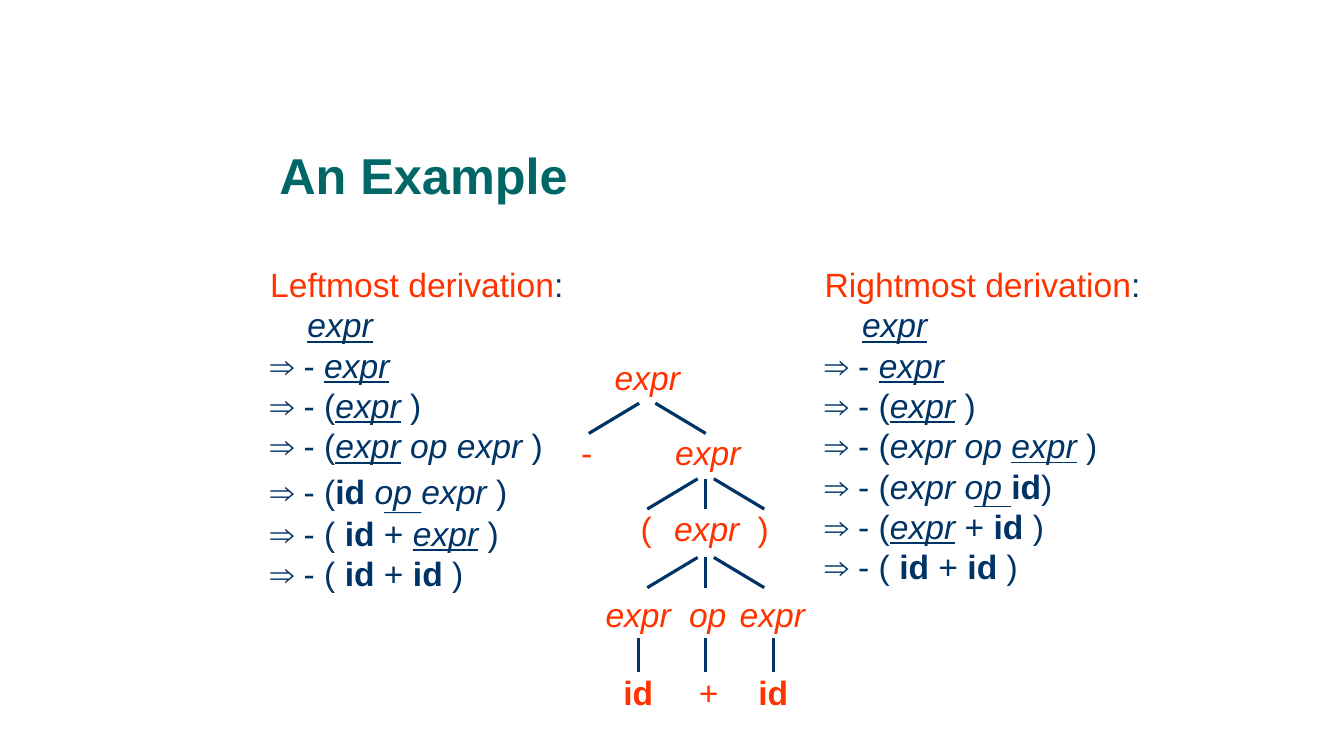
from dataclasses import dataclass

from pptx import Presentation
from pptx.dml.color import RGBColor
from pptx.enum.shapes import MSO_CONNECTOR as Connector, MSO_SHAPE as Shape
from pptx.enum.text import MSO_ANCHOR as Anchor, PP_ALIGN as Align
from pptx.oxml.ns import qn
from pptx.slide import Slide
from pptx.text.text import _Paragraph as Paragraph
from pptx.util import Inches, Pt

COLORS = {"title": "006666", "accent": "FF3300", "ink": "003366"}
FONT = "Arial"
TEXT_SIZE = 24
LABEL_WIDTH, LABEL_HEIGHT = 0.8, 0.43
# Each mark switches its style on and off within a line of text.
MARKS = {"/": "italic", "_": "underline", "*": "bold", "^": "accent"}


@dataclass(frozen=True)
class TextBlock:
    left: float
    top: float
    width: float
    height: float
    lines: tuple[str, ...]
    color: str = "ink"
    size: int = TEXT_SIZE
    align: Align = Align.LEFT
    anchor: Anchor = Anchor.TOP
    last_gap: float = 0


@dataclass(frozen=True)
class TreeRow:
    top: float
    labels: tuple[tuple[float, str], ...]


@dataclass(frozen=True)
class Fork:
    """Branches from (center, top), each given as start and end offsets from the center."""
    center: float
    top: float
    height: float
    branches: tuple[tuple[float, float], ...]


LEFT_X, RIGHT_X = 2.67, 8.17
BLOCKS = (
    TextBlock(2.76, 1.41, 2.88, 0.63, ("*An Example*",), "title", 36, anchor=Anchor.MIDDLE),
    TextBlock(LEFT_X, 2.61, 2.93, 2.48, (
        "^Leftmost derivation^:",
        "/_expr_/",
        "⇒ - /_expr_/",
        "⇒ - (/_expr_ /)",
        "⇒ - (/_expr_ op expr /)",
        "⇒ - (*id* /op expr /)",
    ), last_gap=3.9),
    TextBlock(LEFT_X, 5.08, 2.38, 0.83, (
        "⇒ - ( *id* + /_expr_ /)",
        "⇒ - ( *id* + *id* )",
    )),
    TextBlock(RIGHT_X, 2.61, 3.16, 2.83, (
        "^Rightmost derivation^:",
        "/_expr_/",
        "⇒ - /_expr_/",
        "⇒ - (/_expr_ /)",
        "⇒ - (/expr op _expr_ /)",
        "⇒ - (/expr op /*id*)",
        "⇒ - (/_expr_ /+ *id* )",
    )),
    TextBlock(RIGHT_X, 5.41, 2.03, 0.43, ("⇒ - ( *id* + *id* )",)),
)
OP_UNDERLINES = ((3.81, 5.08), (9.66, 5.02))

TREE_ROWS = (
    TreeRow(3.53, ((6.42, "/expr/"),)),
    TreeRow(4.28, ((5.82, "-"), (7.02, "/expr/"))),
    TreeRow(5.03, ((6.41, "("), (7.01, "/expr/"), (7.57, ")"))),
    TreeRow(5.88, ((6.33, "/expr/"), (7.02, "/op/"), (7.66, "/expr/"))),
    TreeRow(6.66, ((6.33, "*id*"), (7.03, "+"), (7.67, "*id*"))),
)
SIDE_BRANCHES = ((-0.08, -0.58), (0.08, 0.58))
THREE_WAY = SIDE_BRANCHES + ((0, 0),)
FORKS = (
    Fork(6.42, 4, 0.3, SIDE_BRANCHES),
    Fork(7, 4.75, 0.3, THREE_WAY),
    Fork(7, 5.53, 0.3, THREE_WAY),
    Fork(7, 6.33, 0.34, tuple((x, x) for x in (-0.67, 0, 0.67))),
)


def rgb(name: str) -> RGBColor:
    return RGBColor.from_string(COLORS[name])


def add_span(para: Paragraph, text: str, styles: set[str]) -> None:
    if not text:
        return
    span = para.add_run()
    span.text = text
    for style in styles - {"accent"}:
        setattr(span.font, style, True)
    if "accent" in styles:
        span.font.color.rgb = rgb("accent")


def write_line(para: Paragraph, line: str) -> None:
    """Split a marked-up line into styled spans."""
    styles: set[str] = set()
    text = ""
    for char in line:
        if char in MARKS:
            add_span(para, text, styles)
            styles = styles ^ {MARKS[char]}
            text = ""
        else:
            text += char
    add_span(para, text, styles)


def add_block(page: Slide, block: TextBlock) -> None:
    box = page.shapes.add_textbox(
        *map(Inches, (block.left, block.top, block.width, block.height)))
    frame = box.text_frame
    frame.word_wrap = True
    frame.vertical_anchor = block.anchor
    frame.margin_left = frame.margin_right = frame.margin_bottom = 0
    frame.margin_top = Inches(0.01)
    for index, line in enumerate(block.lines):
        para = frame.paragraphs[0] if index == 0 else frame.add_paragraph()
        para.alignment = block.align
        para.font.name = FONT
        para.font.size = Pt(block.size)
        para.font.color.rgb = rgb(block.color)
        para.space_before = Pt(1 if index == 0 else 0)
        if block.align == Align.LEFT:
            indent = 0.38 if line == "/_expr_/" else 0.01
            para._p.get_or_add_pPr().set("marL", str(Inches(indent)))
        write_line(para, line)
    if block.last_gap:
        frame.paragraphs[-1].space_before = Pt(block.last_gap)


def add_op_underline(page: Slide, left: float, top: float) -> None:
    bar = page.shapes.add_shape(
        Shape.RECTANGLE, *map(Inches, (left, top, 0.37, 0.01)))
    bar.shadow.inherit = False
    bar.fill.solid()
    bar.fill.fore_color.rgb = rgb("ink")
    bar.line.fill.background()


def add_fork(page: Slide, fork: Fork) -> None:
    for start, end in fork.branches:
        branch = page.shapes.add_connector(Connector.STRAIGHT, *map(Inches, (
            fork.center + start, fork.top,
            fork.center + end, fork.top + fork.height)))
        branch.line.color.rgb = rgb("ink")
        branch.line.width = Pt(2.28)
        properties = branch._element.spPr
        properties.append(properties.makeelement(qn("a:effectLst"), {}))


def add_tree_row(page: Slide, row: TreeRow) -> None:
    for center, label in row.labels:
        add_block(page, TextBlock(
            center - LABEL_WIDTH / 2, row.top, LABEL_WIDTH, LABEL_HEIGHT,
            (label,), "accent", align=Align.CENTER))


def main() -> None:
    deck = Presentation()
    deck.slide_width, deck.slide_height = Inches(13.33), Inches(7.5)
    page = deck.slides.add_slide(deck.slide_layouts[6])
    for block in BLOCKS:
        add_block(page, block)
    for left, top in OP_UNDERLINES:
        add_op_underline(page, left, top)
    for fork in FORKS:
        add_fork(page, fork)
    for row in TREE_ROWS:
        add_tree_row(page, row)
    deck.save("out.pptx")


if __name__ == "__main__":
    main()
